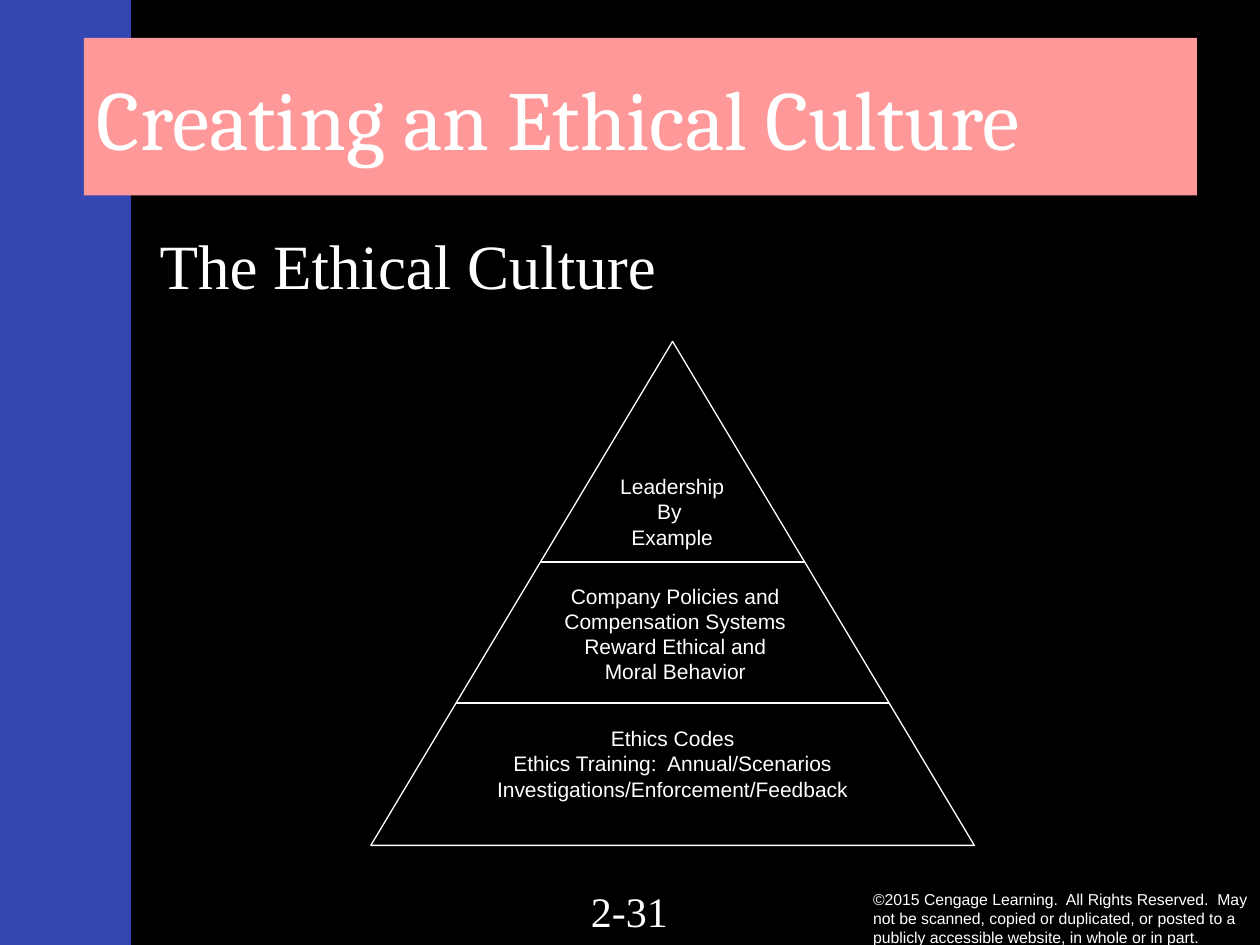
from lxml import etree
from pptx import Presentation
from pptx.dml.color import RGBColor
from pptx.enum.shapes import MSO_CONNECTOR, MSO_SHAPE
from pptx.enum.text import MSO_ANCHOR, MSO_AUTO_SIZE, PP_ALIGN
from pptx.oxml.ns import qn
from pptx.util import Pt

RECT, TRI = MSO_SHAPE.RECTANGLE, MSO_SHAPE.ISOSCELES_TRIANGLE
LINE = MSO_CONNECTOR.STRAIGHT
TOP, MID = MSO_ANCHOR.TOP, MSO_ANCHOR.MIDDLE
LEFT, MIDST = PP_ALIGN.LEFT, PP_ALIGN.CENTER
FIXED = MSO_AUTO_SIZE.NONE

HUES = {"blue": "3346B1", "black": "000000", "white": "FFFFFF", "pink": "FF9999"}
COLOR = {name: RGBColor.from_string(hue) for name, hue in HUES.items()}


def write(shape, text, font="Arial", size=12, align=MIDST, anchor=TOP):
    """Fill a shape with white text, one paragraph per line."""
    frame = shape.text_frame
    frame.text = text
    frame.word_wrap = True
    frame.auto_size = FIXED
    frame.vertical_anchor = anchor
    for par in frame.paragraphs:
        par.alignment = align
        par.space_before = Pt(0)
        par.font.name = font
        par.font.size = Pt(size)
        par.font.color.rgb = COLOR["white"]


def block(kind, left, top, width, height, edge=None):
    """Add a black shape, outlined in the edge colour if one is given."""
    shape = slide.shapes.add_shape(kind, Pt(left), Pt(top), Pt(width), Pt(height))
    shape.shadow.inherit = False
    shape.fill.solid()
    shape.fill.fore_color.rgb = COLOR["black"]
    if edge:
        shape.line.color.rgb = COLOR[edge]
        shape.line.width = Pt(0.75)
    else:
        shape.line.fill.background()
    return shape


deck = Presentation()
deck.slide_width, deck.slide_height = Pt(720), Pt(540)
slide = deck.slides.add_slide(deck.slide_layouts[1])
slide.background.fill.solid()
slide.background.fill.fore_color.rgb = COLOR["blue"]
title, body = slide.placeholders

# Black panel behind the title and list
panel = block(RECT, 75, 0, 645, 540)
title.element.addprevious(panel.element)

title.left, title.top, title.width, title.height = Pt(48), Pt(21.6), Pt(636), Pt(90)
title.fill.solid()
title.fill.fore_color.rgb = COLOR["pink"]
write(title, "Creating an Ethical Culture", font="Cambria", size=48, align=LEFT, anchor=MID)

body.left, body.top, body.width, body.height = Pt(84), Pt(126), Pt(600), Pt(356.4)
write(body, "The Ethical Culture", font="Times New Roman", size=36, align=LEFT)
props = body.text_frame.paragraphs[0]._p.get_or_add_pPr()
props.set("marL", str(Pt(27)))
props.set("indent", str(Pt(-27)))
etree.SubElement(props, qn("a:buNone"))

# Footer
note = slide.shapes.add_textbox(Pt(491.8), Pt(504.7), Pt(228.2), Pt(40.3))
write(note, "©2015 Cengage Learning.  All Rights Reserved.  May not be scanned, "
      "copied or duplicated, or posted to a publicly accessible website, "
      "in whole or in part.", size=9, align=LEFT, anchor=MID)
page = slide.shapes.add_textbox(Pt(275.8), Pt(502.6), Pt(167.8), Pt(37.4))
write(page, "2-31", font="Times New Roman", size=24)

# Pyramid: tier labels, then the rules between tiers
block(TRI, 211.9, 195.1, 344.9, 288, edge="white")
tiers = [
    (342.7, 267.1, 82.8, 54, None, "Leadership\nBy \nExample"),
    (308.9, 329.8, 154.1, 62.6, "black",
     "Company Policies and\nCompensation Systems\nReward Ethical and\nMoral Behavior"),
    (260.6, 411.1, 247.7, 54, "black",
     "Ethics Codes\nEthics Training:  Annual/Scenarios\nInvestigations/Enforcement/Feedback"),
]
for left, top, width, height, edge, text in tiers:
    write(block(RECT, left, top, width, height, edge), text)

for start, end, y in [(308.9, 460.1, 321.1), (260.6, 508.3, 401.8)]:
    rule = slide.shapes.add_connector(LINE, Pt(start), Pt(y), Pt(end), Pt(y))
    rule.line.color.rgb = COLOR["white"]
    rule.line.width = Pt(1.5)
    etree.SubElement(rule.element.spPr, qn("a:effectLst"))

deck.save("out.pptx")
